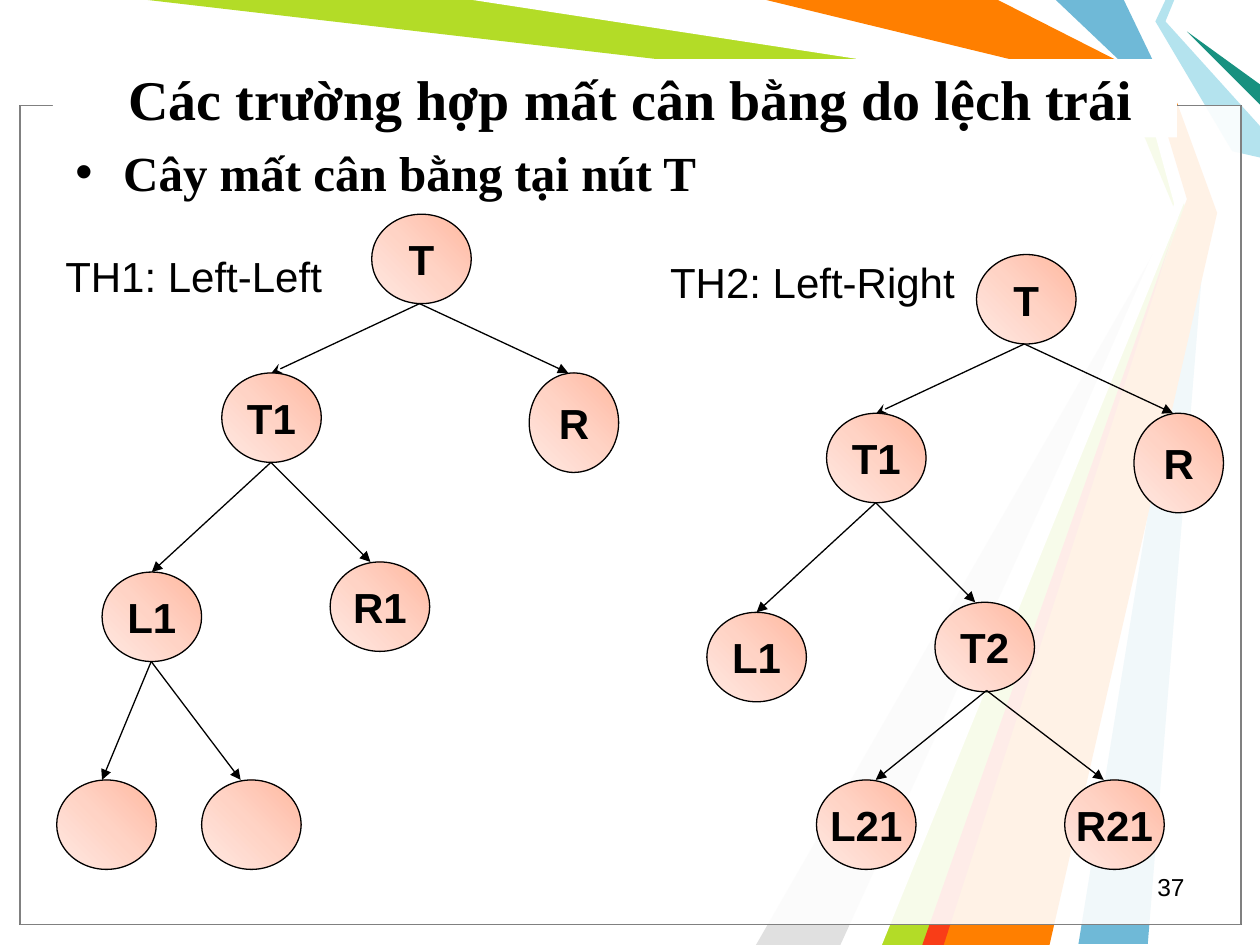
from pptx import Presentation
from pptx.dml.color import RGBColor
from pptx.enum.shapes import MSO_CONNECTOR, MSO_SHAPE
from pptx.enum.text import MSO_ANCHOR, PP_ALIGN
from pptx.oxml import parse_xml
from pptx.oxml.ns import nsdecls, qn
from pptx.util import Inches, Pt

NODE_GRADIENT = (
    f'<a:gradFill {nsdecls("a")} rotWithShape="1"><a:gsLst>'
    '<a:gs pos="0"><a:srgbClr val="FFB8A0"/></a:gs>'
    '<a:gs pos="50000"><a:srgbClr val="FFD3C5"/></a:gs>'
    '<a:gs pos="100000"><a:srgbClr val="FFE9E3"/></a:gs></a:gsLst>'
    '<a:path path="circle"><a:fillToRect l="100000" t="0" r="0" b="100000"/></a:path>'
    '</a:gradFill>'
)

RIBBONS = [
    ("6FB9D7", [(8.92, 0), (9.29, 0.77), (9.58, 1.67), (9.11, 7.49), (8.56, 7.49),
                (9.5, 1.67), (9.17, 0.75), (8.38, 0)]),
    ("B3DC27", [(1.17, 0), (3.83, 0), (9.14, 0.78), (9.42, 1.69), (7.42, 7.5),
                (6.92, 7.5), (9.35, 1.73), (9.01, 0.91)]),
    ("E0E0E0", [(6.67, 7.5), (9.27, 1.81), (6, 7.5)]),
    ("FFFFFF", [(3.75, 0), (9.1, 0.82), (9.32, 1.62), (6.75, 7.5), (7, 7.5),
                (9.41, 1.58), (9.17, 0.75), (6, 0)]),
    ("B4E3EE", [(9.25, 0), (9.17, 0.17), (9.78, 1.2), (10, 1.25), (10, 1),
                (9.25, 0.17), (9.32, 0)]),
    ("189180", [(10, 0.83), (9.42, 0.25), (10, 0.67)]),
    ("FF7F00", [(6.08, 0), (7.92, 0), (9.3, 0.7), (9.66, 1.69), (8.33, 7.5),
                (7.33, 7.5), (9.42, 1.58), (9.17, 0.75)]),
    ("F93D17", [(7.32, 7.5), (9.32, 1.83), (7.49, 7.5)]),
]


def color(value):
    return RGBColor.from_string(value)


class TreeSlide:
    ink = "000000"
    paper = "FFFFFF"
    node_size = (0.79, 0.71)
    line_width = Pt(0.75)

    def __init__(self, slide):
        self.slide = slide

    def ribbon(self, fill, points):
        (left, top), *others = [(Inches(x), Inches(y)) for x, y in points]
        builder = self.slide.shapes.build_freeform(left, top, 1.0)
        builder.add_line_segments(others, close=True)
        shape = builder.convert_to_shape()
        shape.shadow.inherit = False
        shape.fill.solid()
        shape.fill.fore_color.rgb = color(fill)
        shape.line.fill.background()

    def panel(self, left, top, width, height, line=None, opacity=100):
        shape = self.slide.shapes.add_shape(
            MSO_SHAPE.RECTANGLE, Inches(left), Inches(top), Inches(width), Inches(height))
        shape.shadow.inherit = False
        shape.fill.solid()
        shape.fill.fore_color.rgb = color(self.paper)
        if opacity < 100:
            tone = shape._element.spPr.find(qn("a:solidFill"))[0]
            tone.append(parse_xml(f'<a:alpha {nsdecls("a")} val="{opacity * 1000}"/>'))
        if line:
            shape.line.color.rgb = color(line)
            shape.line.width = self.line_width
        else:
            shape.line.fill.background()

    def fill_text(self, frame, words, size, font="Arial", bold=False, align=PP_ALIGN.LEFT):
        paragraph = frame.paragraphs[0]
        paragraph.text = words
        paragraph.alignment = align
        paragraph.font.size = Pt(size)
        paragraph.font.name = font
        paragraph.font.bold = bold
        paragraph.font.color.rgb = color(self.ink)
        return paragraph

    def text(self, left, top, width, height, words, size,
             anchor=MSO_ANCHOR.TOP, bullet=False, **style):
        shape = self.slide.shapes.add_textbox(
            Inches(left), Inches(top), Inches(width), Inches(height))
        frame = shape.text_frame
        frame.word_wrap = True
        frame.vertical_anchor = anchor
        paragraph = self.fill_text(frame, words, size, **style)
        if bullet:
            paragraph.space_before = Pt(3)
            properties = paragraph._p.get_or_add_pPr()
            properties.set("marL", str(Inches(0.38)))
            properties.set("indent", str(Inches(-0.38)))
            default_font = properties.find(qn("a:defRPr"))
            default_font.addprevious(parse_xml(f'<a:buFont {nsdecls("a")} typeface="Arial"/>'))
            default_font.addprevious(parse_xml(f'<a:buChar {nsdecls("a")} char="•"/>'))

    def node(self, left, top, label="", size=node_size):
        shape = self.slide.shapes.add_shape(
            MSO_SHAPE.OVAL, Inches(left), Inches(top), Inches(size[0]), Inches(size[1]))
        shape.shadow.inherit = False
        shape.fill.background()
        properties = shape._element.spPr
        properties.replace(properties.find(qn("a:noFill")), parse_xml(NODE_GRADIENT))
        shape.line.color.rgb = color(self.ink)
        shape.line.width = self.line_width
        if label:
            frame = shape.text_frame
            frame.word_wrap = False
            frame.vertical_anchor = MSO_ANCHOR.MIDDLE
            self.fill_text(frame, label, 24, bold=True, align=PP_ALIGN.CENTER)
        return shape

    def arrow(self, start, end, head="triangle", target=None):
        connector = self.slide.shapes.add_connector(
            MSO_CONNECTOR.STRAIGHT, *[Inches(value) for value in (*start, *end)])
        if target is not None:
            connector.end_connect(target, 0)
        connector.line.color.rgb = color(self.ink)
        connector.line.width = self.line_width
        properties = connector._element.spPr
        properties.find(qn("a:ln")).append(
            parse_xml(f'<a:tailEnd {nsdecls("a")} type="{head}"/>'))
        properties.append(parse_xml(f'<a:effectLst {nsdecls("a")}/>'))

    def upper_tree(self, x, y, right_label):
        self.node(x + 2.95, y + 1.7, "T")
        self.node(x + 4.2, y + 2.96, "R", size=self.node_size[::-1])
        middle = self.node(x + 1.76, y + 2.96, "T1")
        self.node(x + 2.62, y + 4.46, right_label)
        left = self.node(x + 0.81, y + 4.54, "L1")
        root = (x + 3.33, y + 2.41)
        fork = (x + 2.15, y + 3.67)
        self.arrow(root, (x + 2.15, y + 2.96), "stealth", middle)
        self.arrow(root, (x + 4.51, y + 2.96))
        self.arrow(fork, (x + 2.94, y + 4.46))
        self.arrow(fork, (x + 1.2, y + 4.54), target=left)

    def leaves(self, start, leaves, ends):
        for left, label in leaves:
            self.node(left, 6.19, label)
        for end in ends:
            self.arrow(start, (end, 6.19))


def main():
    presentation = Presentation()
    presentation.slide_width = Inches(10)
    presentation.slide_height = Inches(7.5)
    page = TreeSlide(presentation.slides.add_slide(presentation.slide_layouts[6]))

    for fill, points in RIBBONS:
        page.ribbon(fill, points)
    for line in ("000000", "808080"):
        page.panel(0.16, 0.84, 9.69, 6.5, line=line, opacity=69)
    page.panel(0.42, 0.74, 6.83, 0.17)
    page.panel(0.92, 0.47, 8.42, 0.62)

    page.text(0.92, 0.47, 8.42, 0.62, "Các trường hợp mất cân bằng do lệch trái", 32,
              anchor=MSO_ANCHOR.MIDDLE, font="Times New Roman", bold=True)
    page.text(0.5, 1.08, 9, 5.62, "Cây mất cân bằng tại nút T", 28,
              bullet=True, font="Times New Roman", bold=True)
    page.text(7.17, 6.87, 2.33, 0.33, "37", 14, align=PP_ALIGN.RIGHT)

    page.upper_tree(0, 0, "R1")
    page.leaves((1.2, 5.25), [(1.6, ""), (0.45, "")], [0.81, 1.91])
    page.upper_tree(4.8, 0.32, "T2")
    page.leaves((7.83, 5.48), [(8.45, "R21"), (6.48, "L21")], [6.95, 8.76])

    page.text(0.42, 1.94, 2.36, 0.5, "TH1: Left-Left", 24)
    page.text(5.22, 1.99, 2.6, 0.5, "TH2: Left-Right", 24)

    presentation.save("out.pptx")


if __name__ == "__main__":
    main()
